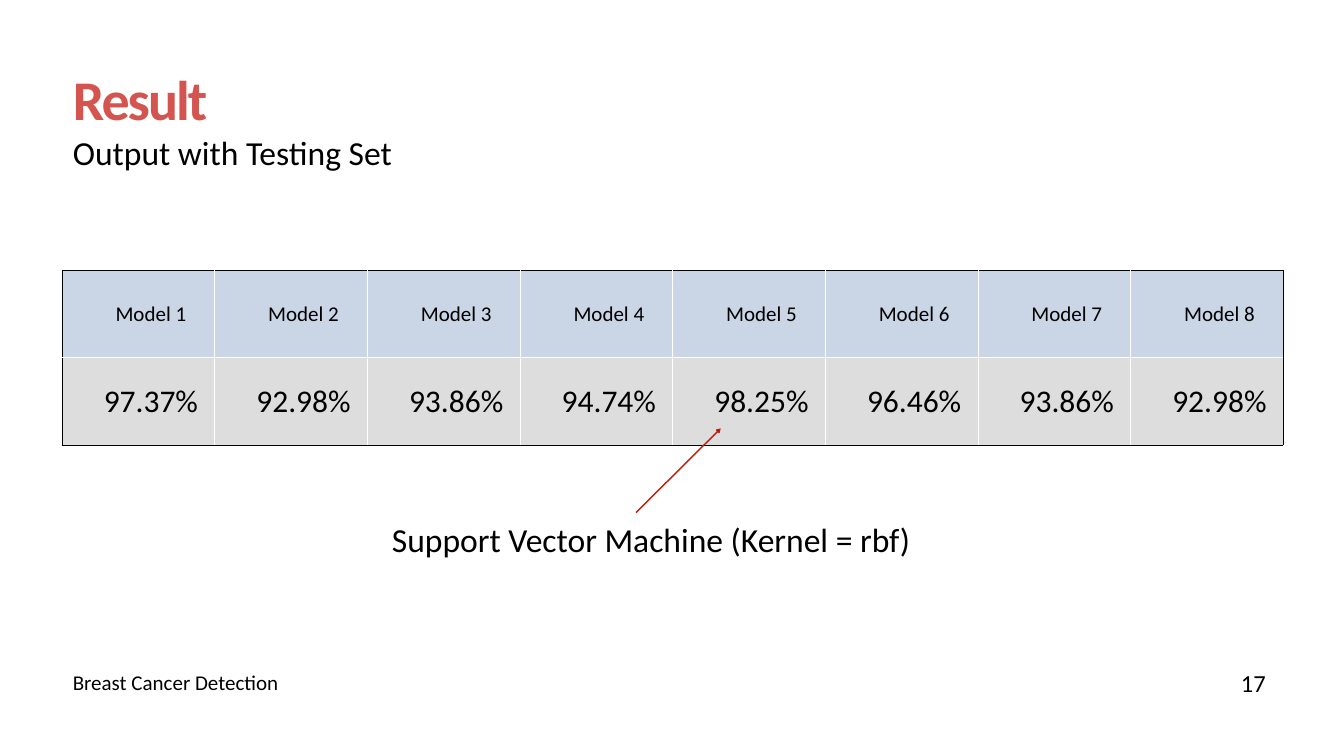
from lxml import etree
from pptx import Presentation
from pptx import util as u
from pptx.dml.color import RGBColor
from pptx.enum import shapes, text
from pptx.oxml.ns import qn

THEME = {
    "font": "Calibri",
    "ink": "000000",
    "title": "D45550",
    "grid": "FFFFFF",
    "arrow": "BE1B0A",
    "row_fills": ("CAD5E6", "DDDDDD"),
    "row_sizes": (30, 45),
    "title_size": 80,
    "body_size": 48,
    "footer_size": 30,
    "number_size": 35,
}

SLIDE_SIZE = (1920, 1080)
LEFT = 100
INSET = 4
TABLE_ORIGIN = (88.56, 385.92)
CELL_SIZE = (218.07, 125)
CELL_INDENT = 36
ARROW = ((908.6, 732.2), (1029.6, 612))

ACCURACIES = ["97.37%", "92.98%", "93.86%", "94.74%", "98.25%", "96.46%", "93.86%", "92.98%"]
ROWS = [[f"Model {number}" for number in range(1, len(ACCURACIES) + 1)], ACCURACIES]

LABELS = [
    {"text": "Result", "box": (LEFT, 72.7, 1167, 121), "size": "title_size", "color": "title",
     "bold": True, "anchor": text.MSO_ANCHOR.BOTTOM, "line_spacing": 0.9, "tracking": -280},
    {"text": "Breast Cancer Detection", "box": (LEFT, 951, 760, 47.5), "size": "footer_size"},
    {"text": "17", "box": (1760.4, 947.5, 51.8, 54.7), "size": "number_size",
     "align": text.PP_ALIGN.RIGHT},
    {"text": "Output with Testing Set", "box": (LEFT, 182.2, 540, 71.3), "size": "body_size",
     "wrap": False},
    {"text": "Support Vector Machine (Kernel = rbf)", "box": (555.8, 734.4, 867.6, 71.3),
     "size": "body_size", "wrap": False},
]


def rgb(value):
    return RGBColor.from_string(value)


def set_attributes(target, values):
    for name, value in values.items():
        setattr(target, name, value)


def style_font(font, size, color, bold=False):
    set_attributes(font, {"name": THEME["font"], "size": u.Pt(size), "bold": bold})
    font.color.rgb = rgb(color)


def add_label(slide, label):
    shape = slide.shapes.add_textbox(*map(u.Pt, label["box"]))
    frame = shape.text_frame
    set_attributes(frame, {
        "word_wrap": label.get("wrap", True),
        "vertical_anchor": label.get("anchor", text.MSO_ANCHOR.MIDDLE),
        **{f"margin_{side}": u.Pt(INSET) for side in ("left", "top", "right", "bottom")},
    })
    paragraph = frame.paragraphs[0]
    set_attributes(paragraph, {
        "alignment": label.get("align", text.PP_ALIGN.LEFT),
        "line_spacing": label.get("line_spacing", 1.0),
    })
    run = paragraph.add_run()
    run.text = label["text"]
    style_font(run.font, THEME[label["size"]], THEME[label.get("color", "ink")],
               label.get("bold", False))
    if "tracking" in label:
        run._r.get_or_add_rPr().set("spc", str(label["tracking"]))


def add_border(cell, side, color):
    properties = cell._tc.get_or_add_tcPr()
    line = etree.SubElement(properties, qn(f"a:ln{side}"), w=str(u.Pt(1)))
    fill = etree.SubElement(line, qn("a:solidFill"))
    etree.SubElement(fill, qn("a:srgbClr"), val=color)


def style_cell(cell, value, row, outer_sides):
    set_attributes(cell, {
        "vertical_anchor": text.MSO_ANCHOR.MIDDLE,
        **{f"margin_{side}": 0 for side in ("left", "top", "right", "bottom")},
    })
    for side, is_outer in outer_sides.items():
        add_border(cell, side, THEME["ink" if is_outer else "grid"])
    cell.fill.solid()
    cell.fill.fore_color.rgb = rgb(THEME["row_fills"][row])
    paragraph = cell.text_frame.paragraphs[0]
    paragraph.alignment = text.PP_ALIGN.CENTER
    paragraph._p.get_or_add_pPr().set("indent", str(u.Pt(CELL_INDENT)))
    run = paragraph.add_run()
    run.text = value
    style_font(run.font, THEME["row_sizes"][row], THEME["ink"])


def add_accuracy_table(slide):
    row_count, column_count = len(ROWS), len(ROWS[0])
    width, height = CELL_SIZE
    table = slide.shapes.add_table(
        row_count, column_count, *map(u.Pt, TABLE_ORIGIN),
        u.Pt(width * column_count), u.Pt(height * row_count)).table
    set_attributes(table, {"first_row": False, "horz_banding": False})
    for column in table.columns:
        column.width = u.Pt(width)
    for table_row in table.rows:
        table_row.height = u.Pt(height)
    for row, values in enumerate(ROWS):
        for column, value in enumerate(values):
            outer_sides = {
                "L": column == 0,
                "R": column == column_count - 1,
                "T": row == 0,
                "B": row == row_count - 1,
            }
            style_cell(table.cell(row, column), value, row, outer_sides)


def add_arrow(slide):
    start, end = ARROW
    connector = slide.shapes.add_connector(
        shapes.MSO_CONNECTOR.STRAIGHT, *map(u.Pt, start + end))
    connector.line.width = u.Pt(2)
    connector.line.color.rgb = rgb(THEME["arrow"])
    etree.SubElement(connector.line._get_or_add_ln(), qn("a:tailEnd"), type="arrow")
    etree.SubElement(connector._element.spPr, qn("a:effectLst"))


def main():
    presentation = Presentation()
    presentation.slide_width, presentation.slide_height = map(u.Pt, SLIDE_SIZE)
    slide = presentation.slides.add_slide(presentation.slide_layouts[6])
    *page_labels, callout = LABELS
    for label in page_labels:
        add_label(slide, label)
    add_accuracy_table(slide)
    add_arrow(slide)
    add_label(slide, callout)
    presentation.save("out.pptx")


if __name__ == "__main__":
    main()
